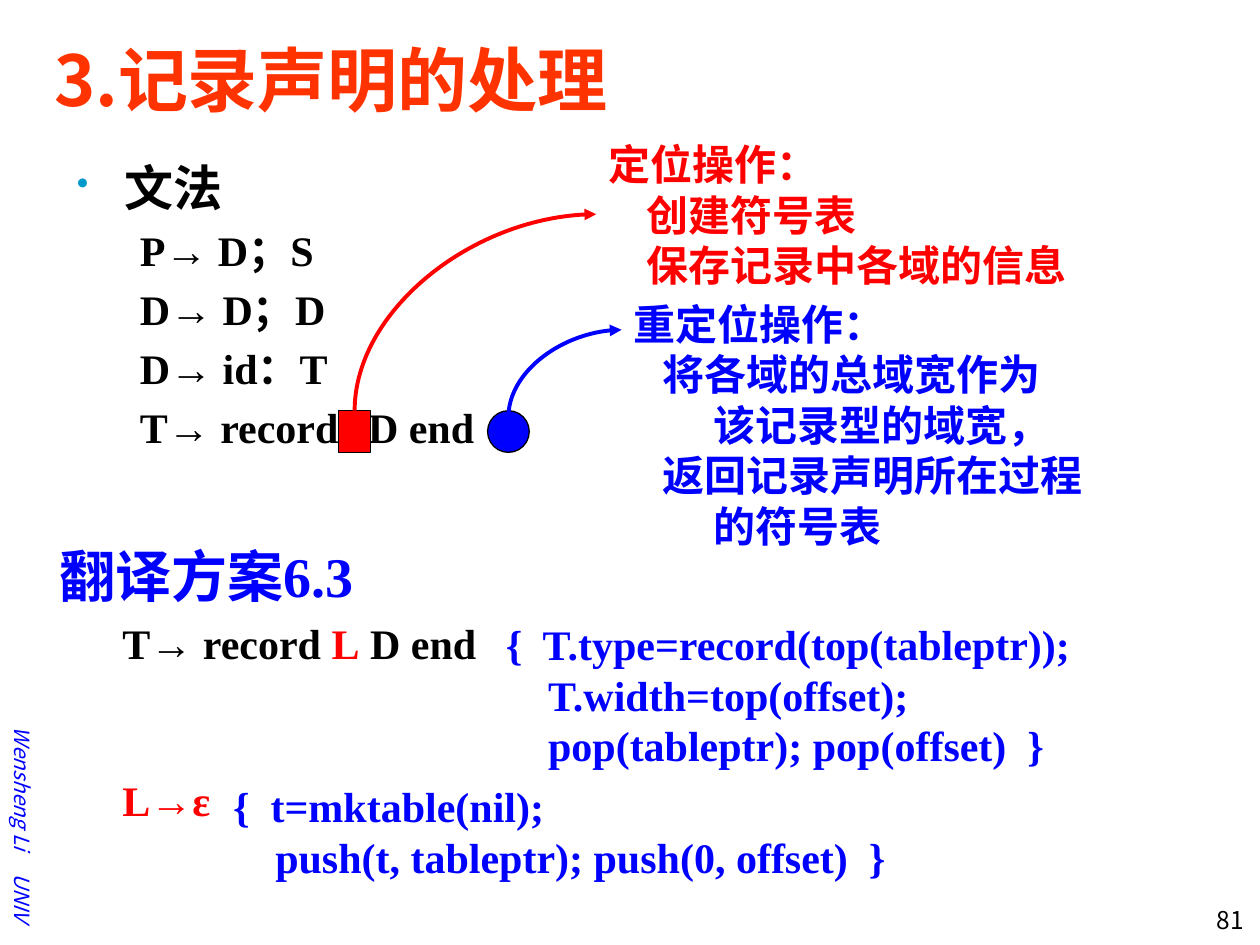
from lxml.etree import SubElement
from pptx import Presentation
from pptx.dml.color import RGBColor
from pptx.enum.shapes import MSO_CONNECTOR, MSO_SHAPE
from pptx.enum.text import MSO_ANCHOR, PP_ALIGN
from pptx.oxml.ns import qn
from pptx.util import Cm, Pt

SANS = "Noto Sans CJK SC"
SERIF = "Times New Roman"
RED, BLUE, BLACK, ORANGE, TEAL = "FF0000", "0000FF", "000000", "FF3300", "0099CC"


def color(value):
    return RGBColor.from_string(value)


def add_box(page, left, top, width, height, anchor=MSO_ANCHOR.TOP, wrap=True):
    box = page.shapes.add_textbox(Cm(left), Cm(top), Cm(width), Cm(height))
    box.text_frame.word_wrap = wrap
    box.text_frame.vertical_anchor = anchor
    return box


def format_span(span, size, font, fill, bold=True, italic=False):
    span.font.size = Pt(size)
    span.font.name = font
    span.font.bold = bold
    span.font.italic = italic
    span.font.color.rgb = color(fill)
    east_asian = SubElement(span.font._element, qn("a:ea"))
    east_asian.set("typeface", SANS)


def set_indent(para, margin, indent, before=0):
    para.space_before = Pt(before)
    properties = para._p.get_or_add_pPr()
    properties.set("marL", str(Cm(margin)))
    properties.set("indent", str(Cm(indent)))


def set_paragraph(para, text, size, font, fill, margin=0, indent=0, before=0):
    para.text = text
    for span in para.runs:
        format_span(span, size, font, fill)
    set_indent(para, margin, indent, before)


def set_bullet(para, fill):
    properties = para._p.get_or_add_pPr()
    bullet_color = SubElement(properties, qn("a:buClr"))
    SubElement(bullet_color, qn("a:srgbClr")).set("val", fill)
    SubElement(properties, qn("a:buSzPct")).set("val", "70000")
    SubElement(properties, qn("a:buChar")).set("char", "•")


def set_tab(para, position):
    tabs = SubElement(para._p.get_or_add_pPr(), qn("a:tabLst"))
    tab = SubElement(tabs, qn("a:tab"))
    tab.set("pos", str(Cm(position)))
    tab.set("algn", "l")


def add_lines(box, lines, size, font, fill):
    frame = box.text_frame
    for index, (text, margin, indent) in enumerate(lines):
        para = frame.add_paragraph() if index else frame.paragraphs[0]
        set_paragraph(para, text, size, font, fill, margin, indent)


def add_small_text(page, text, size, fill, area, align, anchor, italic=False):
    box = add_box(page, *area, anchor=anchor)
    box.text_frame.text = text
    para = box.text_frame.paragraphs[0]
    para.alignment = align
    for span in para.runs:
        format_span(span, size, SANS, fill, False, italic)
    return box


def add_author(page):
    box = add_small_text(page, "Wensheng Li\tUNIV", 12, BLUE, (0.08, 14.4, 0.76, 4.52),
                         PP_ALIGN.LEFT, MSO_ANCHOR.MIDDLE, True)
    frame = box.text_frame
    frame.margin_left = frame.margin_right = Cm(0)
    frame.margin_top = frame.margin_bottom = Cm(0.25)
    frame._txBody.bodyPr.set("vert", "vert")
    set_tab(frame.paragraphs[0], 2.95)


def add_marker(page, kind, left, width, fill):
    marker = page.shapes.add_shape(kind, Cm(left), Cm(8.28), Cm(width), Cm(0.84))
    marker.shadow.inherit = False
    marker.fill.solid()
    marker.fill.fore_color.rgb = color(fill)
    marker.line.color.rgb = color(BLACK)
    marker.line.width = Pt(0.75)


def add_curved_arrow(page, start, end, fill):
    (x1, y1), (x2, y2) = start, end
    middle_x, middle_y = (x1 + x2) / 2, (y1 + y2) / 2
    half_width, half_height = (y1 - y2) / 2, (x2 - x1) / 2
    arrow = page.shapes.add_connector(
        MSO_CONNECTOR.CURVE,
        Cm(middle_x + half_width), Cm(middle_y + half_height),
        Cm(middle_x - half_width), Cm(middle_y - half_height))
    arrow.line.color.rgb = color(fill)
    arrow.line.width = Pt(2.25)
    properties = arrow._element.spPr
    properties.find(qn("a:xfrm")).set("rot", "5400000")
    properties.find(qn("a:prstGeom")).set("prst", "curvedConnector2")
    SubElement(properties.find(qn("a:ln")), qn("a:tailEnd")).set("type", "triangle")
    SubElement(properties, qn("a:effectLst"))


def add_grammar(page):
    frame = add_box(page, 1.3, 3.05, 23.16, 7.11).text_frame
    heading = frame.paragraphs[0]
    set_paragraph(heading, "文法", 28, SERIF, BLACK, 0.97, -0.97, 5.6)
    set_bullet(heading, TEAL)
    for rule in ("P→ D；S", "D→ D；D", "D→ id：T", "T→ record\tD end"):
        para = frame.add_paragraph()
        set_paragraph(para, rule, 24, SERIF, BLACK, 2.06, -0.79, 4.8)
    set_tab(para, 5.96)


def add_scheme(page):
    frame = add_box(page, 0.95, 10.8, 23.16, 7.62).text_frame
    set_paragraph(frame.paragraphs[0], "翻译方案6.3", 32, SERIF, BLUE, 0.95, -0.95, 6.4)
    record = frame.add_paragraph()
    for text, fill in (("T→ record ", BLACK), ("L", RED), (" D end", BLACK)):
        span = record.add_run()
        span.text = text
        format_span(span, 24, SERIF, fill)
    set_indent(record, 2.06, -0.79, 4.8)
    set_paragraph(frame.add_paragraph(), "L→ε", 24, SERIF, RED, 2.06, -0.79, 61)


def main():
    deck = Presentation()
    deck.slide_width, deck.slide_height = Cm(25.4), Cm(19.05)
    page = deck.slides.add_slide(deck.slide_layouts[6])
    middle = MSO_ANCHOR.MIDDLE

    add_author(page)
    add_small_text(page, "81", 14, BLACK, (23.22, 18.11, 2.11, 0.91),
                   PP_ALIGN.RIGHT, MSO_ANCHOR.TOP)

    title = add_box(page, 0.84, 0.41, 23.93, 2.34, middle)
    add_lines(title, [("3.记录声明的处理", 0, 0)], 40, SANS, ORANGE)
    add_grammar(page)

    add_marker(page, MSO_SHAPE.RECTANGLE, 6.83, 0.64, RED)
    locate = add_box(page, 12.01, 2.67, 12.52, 3.3, middle)
    add_lines(locate, [("定位操作：", 0, 0), ("创建符号表", 0.77, 0),
                       ("保存记录中各域的信息", 0.77, 0)], 24, SANS, RED)
    add_curved_arrow(page, (7.15, 8.28), (12.02, 4.32), RED)

    add_marker(page, MSO_SHAPE.OVAL, 9.83, 0.84, BLUE)
    relocate = add_box(page, 12.52, 5.89, 11.58, 5.33, middle)
    add_lines(relocate, [("重定位操作：", 0, 0),
                         ("将各域的总域宽作为\v该记录型的域宽，", 1.61, -1.03),
                         ("返回记录声明所在过程\v的符号表", 1.61, -1.03)], 24, SANS, BLUE)
    add_curved_arrow(page, (10.25, 8.41), (12.53, 6.65), BLUE)

    add_scheme(page)
    make_table = add_box(page, 4.45, 15.61, 13.67, 2.29, middle, False)
    add_lines(make_table, [("{  t=mktable(nil);", 0, 0),
                           ("push(t, tableptr); push(0, offset)  }", 0.85, 0)],
              24, SERIF, BLUE)
    set_type = add_box(page, 9.95, 12.35, 11.99, 3.3, middle, False)
    add_lines(set_type, [("{  T.type=record(top(tableptr));", 0, 0),
                         ("T.width=top(offset);", 0.85, 0),
                         ("pop(tableptr); pop(offset)  }", 0.85, 0)], 24, SERIF, BLUE)

    deck.save("out.pptx")


main()
